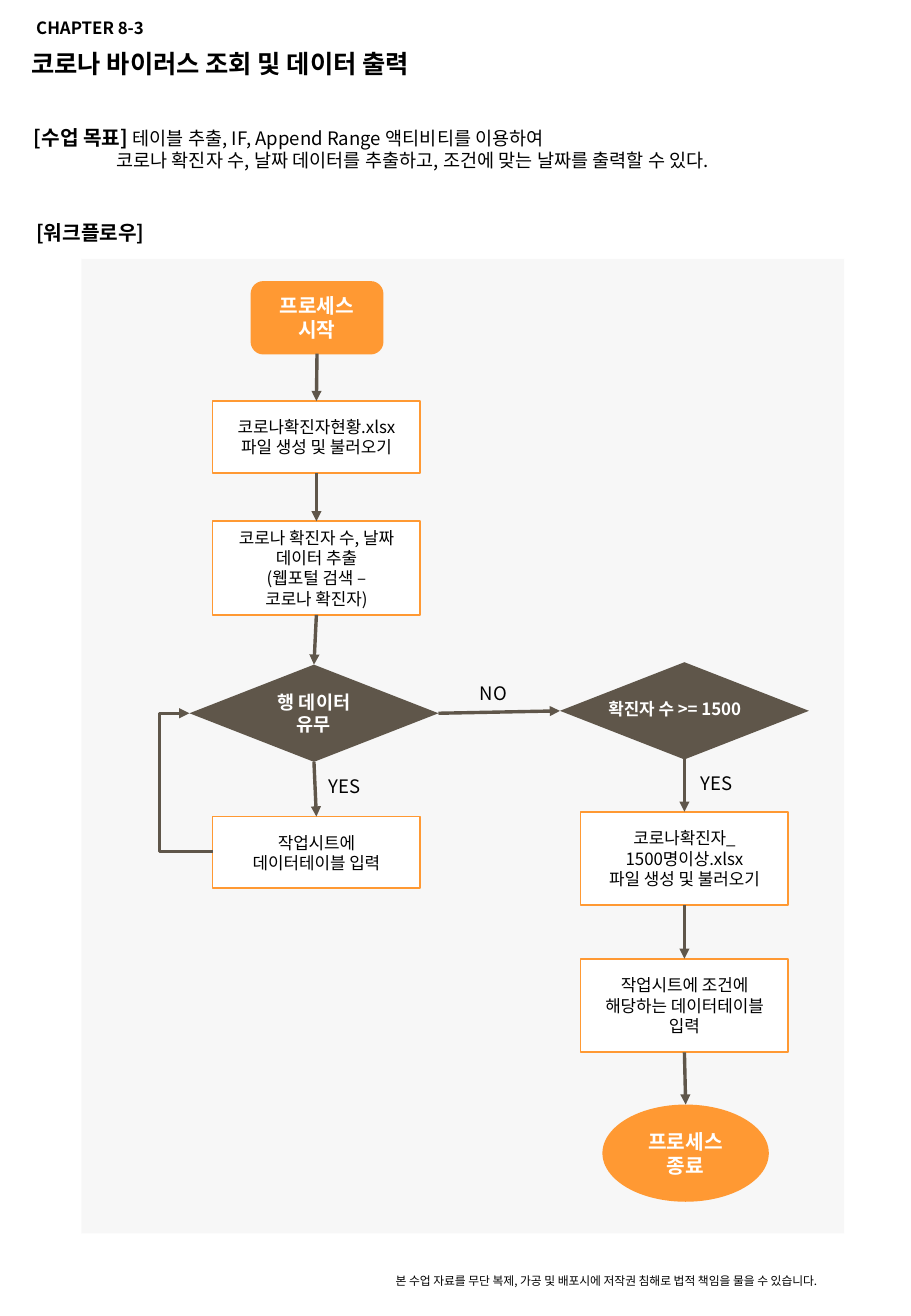
from dataclasses import dataclass

from lxml.etree import SubElement
from pptx import Presentation
from pptx.dml.color import RGBColor
from pptx.enum.shapes import MSO_CONNECTOR as Connector, MSO_SHAPE as Shape
from pptx.enum.text import MSO_ANCHOR as Anchor, MSO_AUTO_SIZE as AutoSize, PP_ALIGN as Align
from pptx.oxml.ns import qn
from pptx.util import Inches, Pt


@dataclass(frozen=True)
class Theme:
    font: str = "Noto Sans CJK KR"
    black: str = "000000"
    white: str = "FFFFFF"
    orange: str = "FF9933"
    brown: str = "5F564A"
    panel: str = "F2F2F2"
    title: int = 15
    heading: int = 12
    body: int = 11
    step: int = 10
    footer: int = 7
    border: int = 1
    arrow: int = 2


THEME = Theme()
TOP, LEFT, BOTTOM, RIGHT = range(4)  # connection sites


def rgb(color):
    return RGBColor.from_string(color)


def write(paragraph, text, size=THEME.step, color=THEME.black, bold=False):
    run = paragraph.add_run()
    run.text = text
    font = run.font
    font.size, font.bold, font.name = Pt(size), bold, THEME.font
    font.color.rgb = rgb(color)
    SubElement(font._element, qn("a:ea"), typeface=THEME.font)


def add_label(slide, text, left, top, width, height, **style):
    """Add a left-aligned text box and return its text frame."""
    frame = slide.shapes.add_textbox(*map(Inches, (left, top, width, height))).text_frame
    frame.word_wrap = True
    frame.auto_size = AutoSize.SHAPE_TO_FIT_TEXT
    write(frame.paragraphs[0], text, **style)
    return frame


def add_node(slide, kind, left, top, width, height, fill, border=None, lines=(), **style):
    node = slide.shapes.add_shape(kind, *map(Inches, (left, top, width, height)))
    node.shadow.inherit = False
    node.fill.solid()
    node.fill.fore_color.rgb = rgb(fill)
    if border:
        node.line.color.rgb = rgb(border)
        node.line.width = Pt(THEME.border)
    else:
        node.line.fill.background()
    frame = node.text_frame
    frame.word_wrap = True
    frame.vertical_anchor = Anchor.MIDDLE
    for index, line in enumerate(lines):
        paragraph = frame.add_paragraph() if index else frame.paragraphs[0]
        paragraph.alignment = Align.CENTER
        write(paragraph, line, **style)
    return node


def add_step(slide, left, top, height, *lines):
    return add_node(slide, Shape.FLOWCHART_PROCESS, left, top, 1.71, height,
                    THEME.white, THEME.orange, lines)


def add_decision(slide, left, top, *lines):
    return add_node(slide, Shape.FLOWCHART_DECISION, left, top, 2.05, 0.8, THEME.brown,
                    lines=lines, size=THEME.body, color=THEME.white, bold=True)


def add_arrow(slide, kind=Connector.STRAIGHT, start=(0, 0), end=(0, 0)):
    arrow = slide.shapes.add_connector(kind, *map(Inches, (*start, *end)))
    arrow.line.color.rgb = rgb(THEME.brown)
    arrow.line.width = Pt(THEME.arrow)
    SubElement(arrow.line._get_or_add_ln(), qn("a:tailEnd"), type="triangle")
    SubElement(arrow._element.spPr, qn("a:effectLst"))
    return arrow


def link(slide, source, target, out=BOTTOM, into=TOP):
    arrow = add_arrow(slide)
    arrow.begin_connect(source, out)
    arrow.end_connect(target, into)


def add_loop_back(slide, start, end, bend):
    """Draw an elbow arrow; bend is its corner position in widths from the start."""
    arrow = add_arrow(slide, Connector.ELBOW, start, end)
    guides = arrow._element.spPr.find(qn("a:prstGeom")).get_or_add_avLst()
    SubElement(guides, qn("a:gd"), name="adj1", fmla=f"val {round(bend * 100000)}")


def add_texts(slide):
    add_label(slide, "코로나 바이러스 조회 및 데이터 출력", 0.16, 0.35, 4.25, 0.35,
              size=THEME.title, bold=True)
    add_label(slide, "CHAPTER 8-3", 0.2, 0.1, 1.29, 0.27, bold=True)
    goal = add_label(slide, "[수업 목표] ", 0.18, 0.98, 6.8, 0.49,
                     size=THEME.heading, bold=True)
    write(goal.paragraphs[0], "테이블 추출, IF, Append Range 액티비티를 이용하여", size=THEME.body)
    detail = goal.add_paragraph()
    detail._p.get_or_add_pPr().set("marL", str(Inches(0.68)))
    write(detail, "코로나 확진자 수, 날짜 데이터를 추출하고, 조건에 맞는 날짜를 출력할 수 있다.",
          size=THEME.body)
    add_label(slide, "[워크플로우]", 0.2, 1.76, 6.8, 0.3, size=THEME.heading, bold=True)
    add_label(slide, "본 수업 자료를 무단 복제, 가공 및 배포시에 저작권 침해로 법적 책임을 물을 수 있습니다.",
              3.16, 10.43, 4.13, 0.21, size=THEME.footer)


def add_workflow(slide):
    panel = add_node(slide, Shape.FLOWCHART_PROCESS, 0.67, 2.13, 6.28, 8.02, THEME.panel)
    panel_color = panel._element.spPr.find(qn("a:solidFill"))[0]
    SubElement(panel_color, qn("a:alpha"), val="54000")

    terminal = dict(size=THEME.heading, color=THEME.white, bold=True)
    begin = add_node(slide, Shape.FLOWCHART_ALTERNATE_PROCESS, 2.07, 2.32, 1.08, 0.59,
                     THEME.orange, THEME.orange, ["프로세스", "시작"], **terminal)
    open_file = add_step(slide, 1.75, 3.3, 0.59, "코로나확진자현황.xlsx 파일 생성 및 불러오기")
    extract = add_step(slide, 1.75, 4.29, 0.77, "코로나 확진자 수, 날짜 데이터 추출",
                       "(웹포털 검색 –", "코로나 확진자)")
    has_row = add_decision(slide, 1.56, 5.47, "행 데이터", "유무")
    enter_row = add_step(slide, 1.75, 6.72, 0.59, "작업시트에", "데이터테이블 입력")

    over_limit = add_decision(slide, 4.61, 5.45)
    add_label(slide, "확진자 수 >= 1500", 4.91, 5.7, 1.64, 0.27, color=THEME.white, bold=True)
    limit_file = add_step(slide, 4.78, 6.68, 0.77, "코로나확진자_", "1500명이상.xlsx",
                          "파일 생성 및 불러오기")
    enter_match = add_step(slide, 4.78, 7.89, 0.77, "작업시트에 조건에 해당하는 데이터테이블 입력")
    finish = add_node(slide, Shape.OVAL, 4.96, 9.09, 1.37, 0.8, THEME.orange,
                      lines=["프로세스 종료"], **terminal)

    for column in ([begin, open_file, extract, has_row, enter_row],
                   [over_limit, limit_file, enter_match, finish]):
        for source, target in zip(column, column[1:]):
            link(slide, source, target)
    link(slide, has_row, over_limit, RIGHT, LEFT)
    add_loop_back(slide, (1.75, 7.01), (1.56, 5.87), 2.29)

    for answer, left, top in (("YES", 2.61, 6.33), ("NO", 3.85, 5.56), ("YES", 5.67, 6.3)):
        add_label(slide, answer, left, top, 0.49, 0.29, size=THEME.body)


def main():
    deck = Presentation()
    deck.slide_width, deck.slide_height = Inches(7.5), Inches(10.83)
    slide = deck.slides.add_slide(deck.slide_layouts[6])
    add_texts(slide)
    add_workflow(slide)
    deck.save("out.pptx")


if __name__ == "__main__":
    main()
